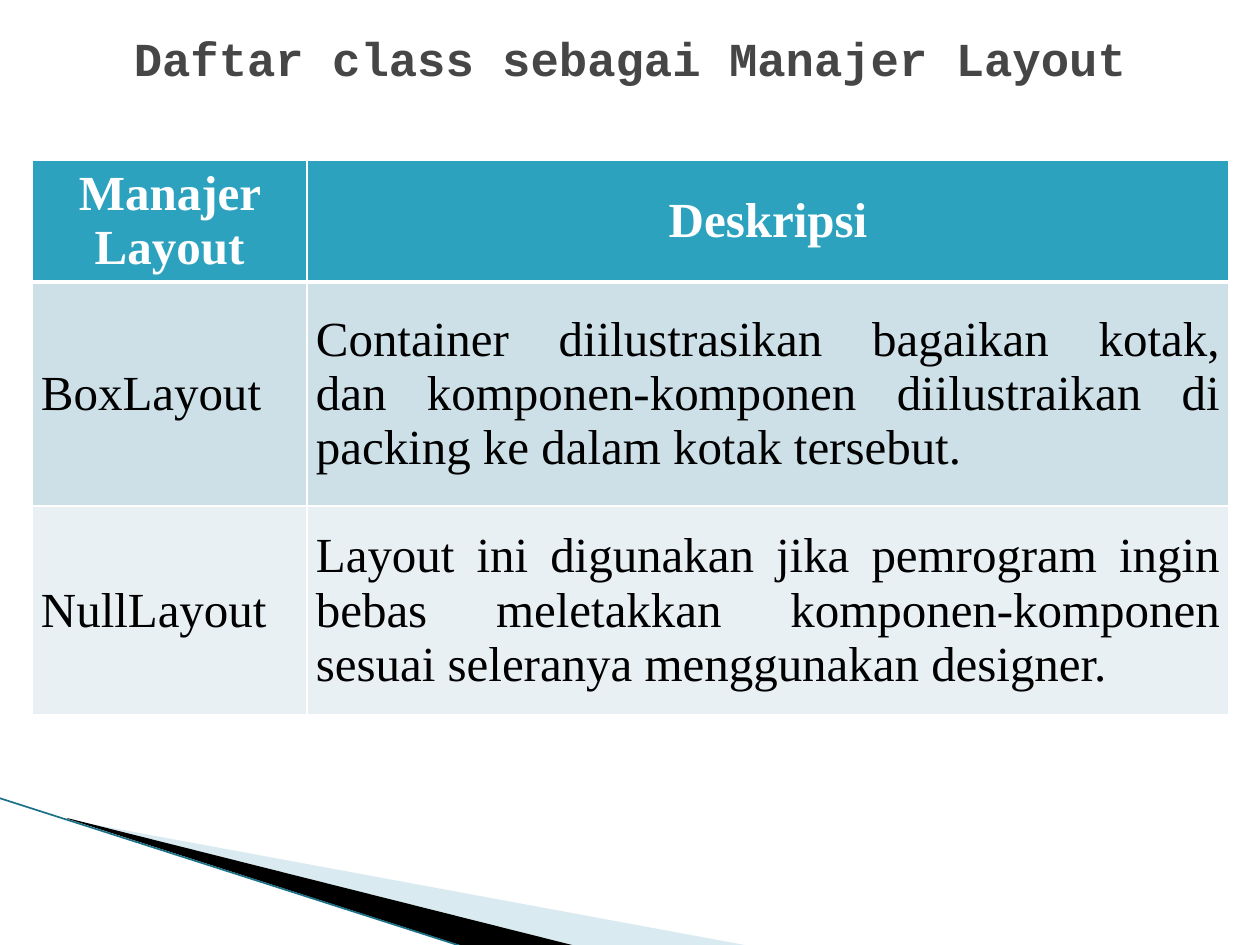
from lxml import etree
from pptx import Presentation
from pptx import util as u
from pptx.dml.color import RGBColor
from pptx.enum import text
from pptx.oxml import ns

TITLE = "Daftar class sebagai Manajer Layout"
HEADER = ("Manajer Layout", "Deskripsi")
ROWS = [
    ("BoxLayout", "Container diilustrasikan bagaikan kotak,\n"
     "dan komponen-komponen diilustraikan di packing ke dalam kotak tersebut."),
    ("NullLayout", "Layout ini digunakan jika pemrogram ingin bebas meletakkan "
     "komponen-komponen sesuai seleranya menggunakan designer."),
]
COLORS = {"title": "464646", "head": "2DA2BF", "band": "CDE0E8", "plain": "E8F0F4",
          "white": "FFFFFF", "black": "000000", "pale": "A0CBDC", "edge": "1A7186"}
COL_WIDTHS = (275, 922)
ROW_HEIGHTS = (122, 224, 209)
WEDGES = [
    ("pale", 40, [(69, 820), (750, 946), (575, 946), (69, 819)]),
    ("black", 100, [(67, 818), (576, 946), (469, 948), (68, 819)]),
]
EDGE = (-1, 798, 467, 948)


def px(n):
    return u.Emu(round(n * 914400 / 126))


def rgb(name):
    return RGBColor.from_string(COLORS[name])


def write(p, content, size, font, color, bold, align):
    p.alignment = align
    for i, line in enumerate(content.split("\n")):
        if i:
            p.add_line_break()
        r = p.add_run()
        r.text = line
        r.font.size, r.font.name, r.font.bold = u.Pt(size), font, bold
        r.font.color.rgb = rgb(color)


def add_wedge(s, color, opacity, points):
    points = [(px(x), px(y)) for x, y in points]
    fb = s.shapes.build_freeform(*points[0])
    fb.add_line_segments(points[1:], close=True)
    sp = fb.convert_to_shape()
    sp.shadow.inherit = False
    sp.line.fill.background()
    sp.fill.solid()
    sp.fill.fore_color.rgb = rgb(color)
    if opacity < 100:
        clr = sp.fill._xPr.find(".//" + ns.qn("a:srgbClr"))
        etree.SubElement(clr, ns.qn("a:alpha"), val=str(opacity * 1000))


def set_borders(cell, bottom):
    tcPr = cell._tc.get_or_add_tcPr()
    for i, (side, width) in enumerate(zip("LRTB", (1, 1, 1, bottom))):
        ln = etree.Element(ns.qn("a:ln" + side), w=str(u.Pt(width)))
        fill = etree.SubElement(ln, ns.qn("a:solidFill"))
        etree.SubElement(fill, ns.qn("a:srgbClr"), val=COLORS["white"])
        tcPr.insert(i, ln)


def add_layout_table(s):
    rows = [HEADER] + ROWS
    table = s.shapes.add_table(len(rows), len(HEADER), px(32), px(160),
                               px(sum(COL_WIDTHS)), px(sum(ROW_HEIGHTS))).table
    for col, width in zip(table.columns, COL_WIDTHS):
        col.width = px(width)
    for i, (row, height) in enumerate(zip(rows, ROW_HEIGHTS)):
        table.rows[i].height = px(height)
        head = i == 0
        for j, content in enumerate(row):
            cell = table.cell(i, j)
            cell.vertical_anchor = text.MSO_ANCHOR.MIDDLE
            cell.fill.solid()
            cell.fill.fore_color.rgb = rgb("head" if head else ("plain", "band")[i % 2])
            set_borders(cell, 3 if head else 1)
            p = cell.text_frame.paragraphs[0]
            if not head:
                cell.margin_left = cell.margin_right = px(9)
                cell.margin_top = cell.margin_bottom = 0
                p.space_before, p.space_after = u.Pt(12), u.Pt(3)
            write(p, content, 28, "Times New Roman", "white" if head else "black", head,
                  text.PP_ALIGN.CENTER if head else text.PP_ALIGN.JUSTIFY)


def main():
    prs = Presentation()
    prs.slide_width, prs.slide_height = px(1260), px(945)
    s = prs.slides.add_slide(prs.slide_layouts[5])

    for wedge in WEDGES:
        add_wedge(s, *wedge)
    edge = s.shapes.add_connector(1, *map(px, EDGE))
    edge.line.color.rgb = rgb("edge")
    edge.line.width = u.Pt(0.95)
    etree.SubElement(edge._element.spPr, ns.qn("a:effectLst"))

    add_layout_table(s)

    title = s.shapes.title
    title.left, title.top, title.width, title.height = map(px, (63, 21, 1134, 73))
    tf = title.text_frame
    tf.auto_size = text.MSO_AUTO_SIZE.NONE
    tf.vertical_anchor = text.MSO_ANCHOR.MIDDLE
    write(tf.paragraphs[0], TITLE, 27, "Courier New", "title", True, text.PP_ALIGN.CENTER)

    prs.save("out.pptx")


if __name__ == "__main__":
    main()
